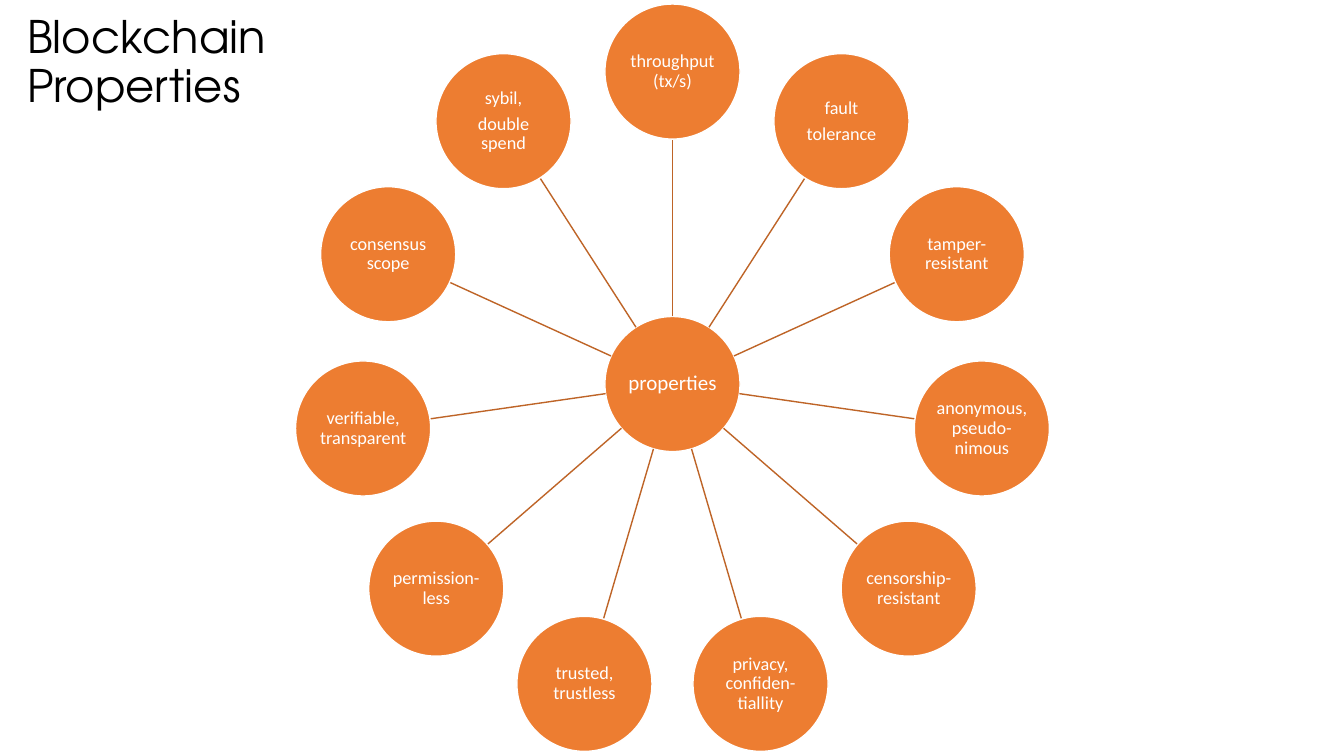
"""Build a radial diagram of blockchain properties."""
from math import cos, pi, sin

from lxml import etree
from pptx import Presentation
from pptx.dml.color import RGBColor
from pptx.enum.shapes import MSO_CONNECTOR, MSO_SHAPE
from pptx.enum.text import MSO_ANCHOR, MSO_AUTO_SIZE, PP_ALIGN
from pptx.oxml.ns import qn
from pptx.util import Inches, Pt

OVAL = MSO_SHAPE.OVAL
LINE = MSO_CONNECTOR.STRAIGHT
TOP, MIDDLE = MSO_ANCHOR.TOP, MSO_ANCHOR.MIDDLE
LEFT, CENTER = PP_ALIGN.LEFT, PP_ALIGN.CENTER
FIXED = MSO_AUTO_SIZE.NONE

TITLE = "Blockchain\vProperties"
HUB = "properties"
NODES = [
    "throughput (tx/s)",
    "fault\ntolerance",
    "tamper-resistant",
    "anonymous, pseudo-nimous",
    "censorship-resistant",
    "privacy, confiden-tiallity",
    "trusted, trustless",
    "permission-less",
    "verifiable, transparent",
    "consensus scope",
    "sybil,\ndouble spend",
]
COLORS = {"fill": "ED7D31", "spoke": "BE6427", "white": "FFFFFF", "black": "000000"}
MID = (6.67, 3.81)
RING = 3.1
SIZE = 1.34
INSET = 0.01


def color(name):
    return RGBColor.from_string(COLORS[name])


def write(frame, text, size=13, font="Calibri", ink="white", align=CENTER, anchor=MIDDLE):
    frame.word_wrap = True
    frame.auto_size = FIXED
    frame.vertical_anchor = anchor
    frame.text = text
    for i, para in enumerate(frame.paragraphs):
        para.alignment = align
        para.line_spacing = 0.9
        para.space_before = Pt(4.5 if i else 0)
        para.font.size = Pt(size)
        para.font.name = font
        para.font.color.rgb = color(ink)


def point(angle, dist):
    return MID[0] + dist * sin(angle), MID[1] - dist * cos(angle)


def circle(slide, x, y, text, **style):
    oval = slide.shapes.add_shape(
        OVAL, Inches(x - SIZE / 2), Inches(y - SIZE / 2), Inches(SIZE), Inches(SIZE))
    oval.shadow.inherit = False
    oval.fill.solid()
    oval.fill.fore_color.rgb = color("fill")
    oval.line.color.rgb = color("white")
    oval.line.width = Pt(1)
    frame = oval.text_frame
    frame.margin_left = frame.margin_right = Inches(INSET)
    frame.margin_top = frame.margin_bottom = Inches(INSET)
    write(frame, text, **style)


def spoke(slide, angle):
    ends = point(angle, SIZE / 2) + point(angle, RING - SIZE / 2)
    line = slide.shapes.add_connector(LINE, *[Inches(v) for v in ends])
    line.line.color.rgb = color("spoke")
    line.line.width = Pt(1)
    etree.SubElement(line._element.spPr, qn("a:effectLst"))


def main():
    deck = Presentation()
    deck.slide_width, deck.slide_height = Inches(13.33), Inches(7.5)
    slide = deck.slides.add_slide(deck.slide_layouts[5])

    title = slide.shapes.title
    title.left, title.top = Inches(0.17), Inches(0.1)
    title.width, title.height = Inches(6.89), Inches(1.45)
    write(title.text_frame, TITLE, size=32, font="TeX Gyre Adventor",
          ink="black", align=LEFT, anchor=TOP)

    circle(slide, *MID, HUB, size=15)
    for i, text in enumerate(NODES):
        angle = 2 * pi * i / len(NODES)
        spoke(slide, angle)
        circle(slide, *point(angle, RING), text)
    deck.save("out.pptx")


if __name__ == "__main__":
    main()
